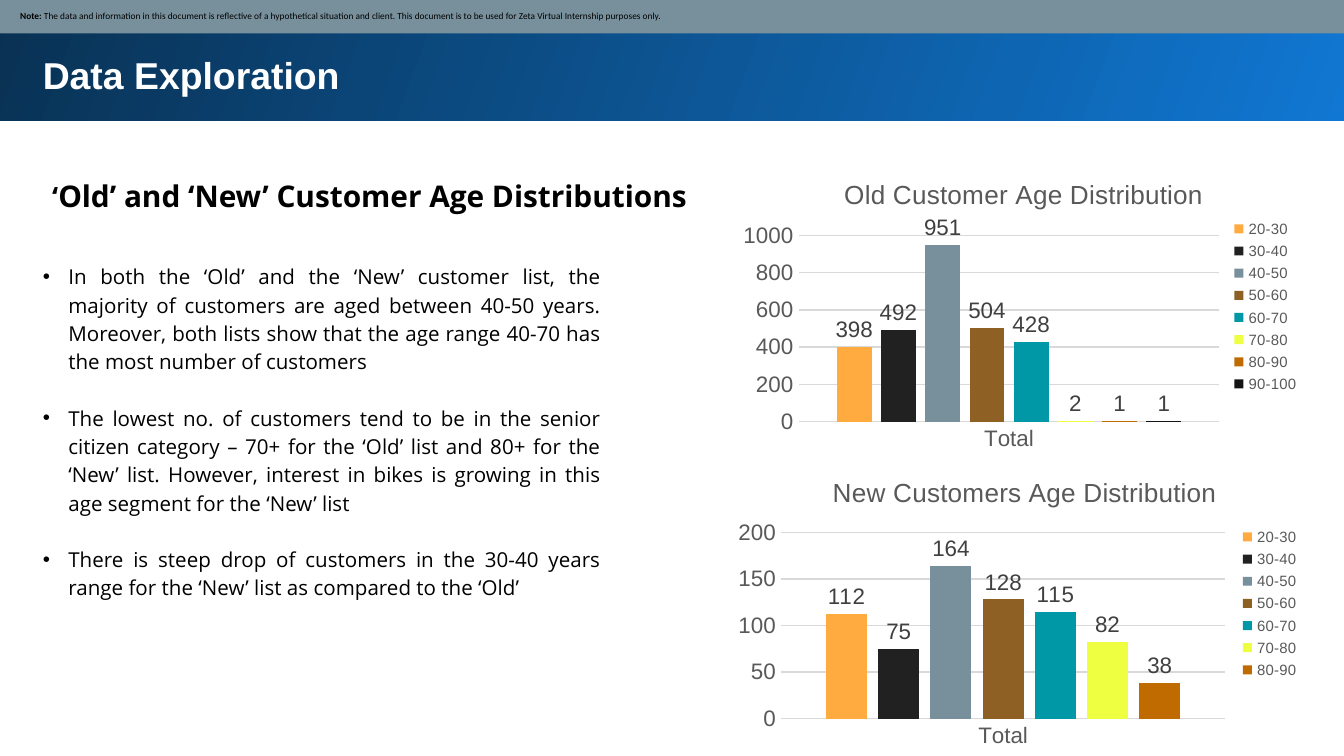
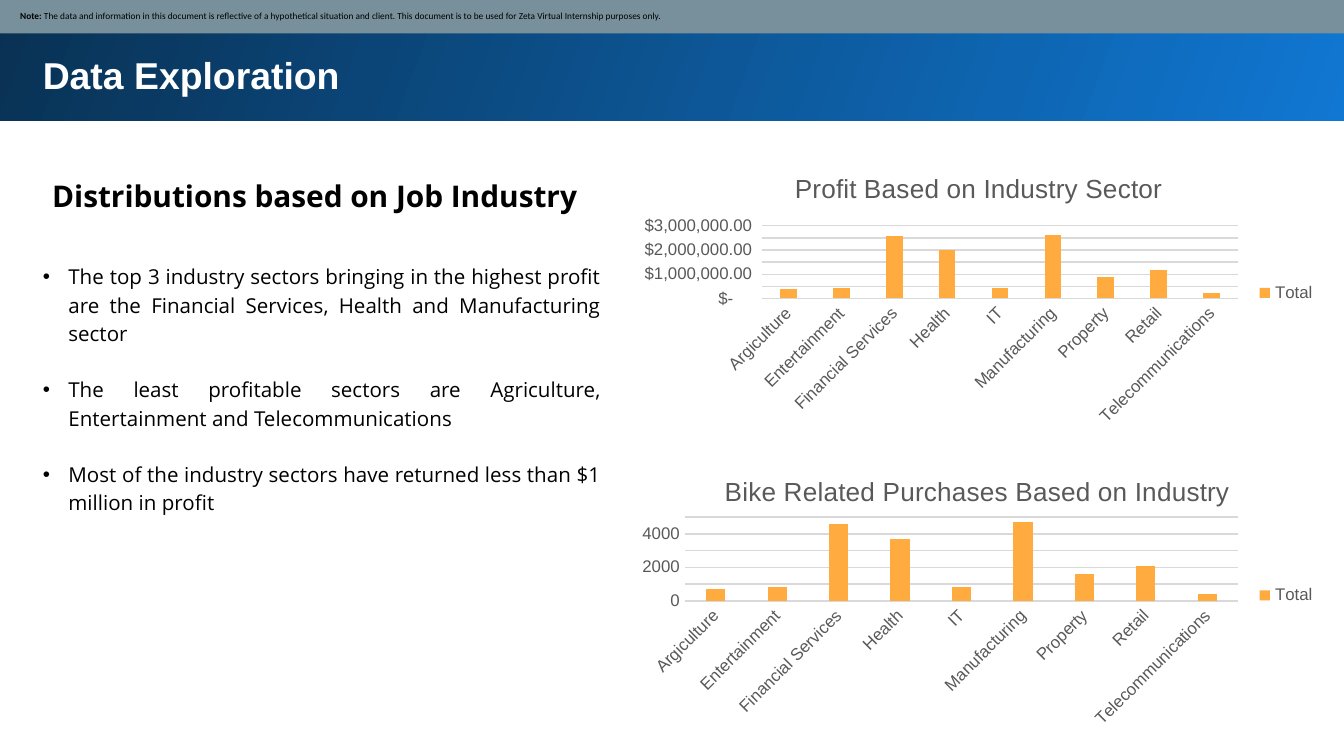
"""Build two data exploration slides with customer age and job industry charts."""
from lxml import etree
from pptx import Presentation
from pptx.chart.data import CategoryChartData
from pptx.dml.color import RGBColor
from pptx.enum.chart import XL_CHART_TYPE, XL_LABEL_POSITION, XL_LEGEND_POSITION, XL_TICK_MARK
from pptx.enum.shapes import MSO_SHAPE
from pptx.enum.text import MSO_ANCHOR, MSO_AUTO_SIZE, PP_ALIGN
from pptx.oxml import parse_xml
from pptx.oxml.ns import nsdecls, qn
from pptx.util import Inches, Pt

BLACK = RGBColor(0x00, 0x00, 0x00)
WHITE = RGBColor(0xFF, 0xFF, 0xFF)
BAND_LIGHT = RGBColor(0x10, 0x77, 0xD2)
BAND_DARK = RGBColor(0x09, 0x31, 0x53)
SLATE = RGBColor(0x78, 0x90, 0x9C)
ORANGE = RGBColor(0xFF, 0xAB, 0x40)
CHART_TEXT = RGBColor(0x59, 0x59, 0x59)
LABEL_TEXT = RGBColor(0x40, 0x40, 0x40)
GRID = RGBColor(0xD9, 0xD9, 0xD9)
SERIES_COLORS = [
    ORANGE, RGBColor(0x21, 0x21, 0x21), SLATE, RGBColor(0x8F, 0x60, 0x24),
    RGBColor(0x00, 0x97, 0xA7), RGBColor(0xEE, 0xFF, 0x41),
    RGBColor(0xBF, 0x6B, 0x00), RGBColor(0x14, 0x14, 0x14),
]

NOTE = ("The data and information in this document is reflective of a hypothetical situation "
        "and client. This document is to be used for Zeta Virtual Internship purposes only.")
AGES = ["20-30", "30-40", "40-50", "50-60", "60-70", "70-80", "80-90", "90-100"]
INDUSTRIES = ["Argiculture", "Entertainment", "Financial Services", "Health", "IT",
              "Manufacturing", "Property", "Retail", "Telecommunications"]
DOLLARS = '_("$"* #,##0.00_);_("$"* \\(#,##0.00\\);_("$"* "-"??_);_(@_)'

AGE_STYLE = dict(categories=["Total"], axis_size=12, legend_size=8, labels=True, number_format="General")
INDUSTRY_STYLE = dict(categories=INDUSTRIES, axis_size=9, legend_size=9, labels=False, number_format="General")

SLIDES = [
    dict(
        heading=[("‘", 15), ("Old’ and ‘New’ Customer Age Distributions", 16)],
        bullets_height=3.59,
        bullets=[
            "In both the ‘Old’ and the ‘New’ customer list, the majority of customers are aged between "
            "40-50 years. Moreover, both lists show that the age range 40-70 has the most number of customers",
            "The lowest no. of customers tend to be in the senior citizen category – 70+ for the ‘Old’ list "
            "and 80+ for the ‘New’ list. However, interest in bikes is growing in this age segment for the ‘New’ list",
            "There is steep drop of customers in the 30-40 years range for the ‘New’ list as compared to the ‘Old’",
        ],
        charts=[
            dict(AGE_STYLE, title="Old Customer Age Distribution", box=(5.42, 1.18, 4.35, 2.2),
                 series=[(age, [count]) for age, count in zip(AGES, [398, 492, 951, 504, 428, 2, 1, 1])],
                 top=1000, step=200, title_at=(0.19, 0.05), plot_at=(0.12, 0.26, 0.72, 0.63)),
            dict(AGE_STYLE, title="New Customers Age Distribution", box=(5.42, 3.39, 4.35, 2.2),
                 series=[(age, [count]) for age, count in zip(AGES, [112, 75, 164, 128, 115, 82, 38])],
                 top=200, step=50, title_at=(0.17, 0.05), plot_at=(0.09, 0.26, 0.76, 0.63)),
        ],
    ),
    dict(
        heading=[("Distributions based on Job Industry", 16)],
        bullets_height=2.53,
        bullets=[
            "The top 3 industry sectors bringing in the highest profit are the Financial Services, "
            "Health and Manufacturing sector",
            "The least profitable sectors are Agriculture, Entertainment and Telecommunications",
            "Most of the industry sectors have returned less than $1 million in profit",
        ],
        charts=[
            dict(INDUSTRY_STYLE, title="Profit Based on Industry Sector", box=(4.68, 1.14, 5.21, 2.08),
                 series=[("Total", [370000, 450000, 2570000, 1980000, 430000,
                                    2630000, 890000, 1180000, 230000])],
                 number_format=DOLLARS, top=3000000, step=500000,
                 title_at=(0.23, 0.05), plot_at=(0.19, 0.26, 0.68, 0.26)),
            dict(INDUSTRY_STYLE, title="Bike Related Purchases Based on Industry", box=(4.68, 3.39, 5.21, 2.08),
                 series=[("Total", [700, 800, 4600, 3700, 800, 4700, 1600, 2100, 400])],
                 top=5000, step=1000, title_at=(0.13, 0.05), plot_at=(0.08, 0.22, 0.79, 0.3)),
        ],
    ),
]


def add_text_box(slide, left, top, width, height):
    frame = slide.shapes.add_textbox(Inches(left), Inches(top), Inches(width), Inches(height)).text_frame
    frame.word_wrap = True
    frame.auto_size = MSO_AUTO_SIZE.SHAPE_TO_FIT_TEXT
    frame.margin_left = frame.margin_right = frame.margin_top = frame.margin_bottom = Inches(0.1)
    return frame


def set_layout(parent, index, values, inner=False):
    for old in parent.findall(qn("c:layout")):
        parent.remove(old)
    target = '<c:layoutTarget val="inner"/>' if inner else ""
    modes = '<c:xMode val="edge"/><c:yMode val="edge"/>'
    sizes = "".join(f'<c:{name} val="{value}"/>' for name, value in zip("xywh", values))
    parent.insert(index, parse_xml(
        f'<c:layout {nsdecls("c")}><c:manualLayout>{target}{modes}{sizes}</c:manualLayout></c:layout>'))


presentation = Presentation()
presentation.slide_width = Inches(10)
presentation.slide_height = Inches(10) * 9 // 16

for content in SLIDES:
    slide = presentation.slides.add_slide(presentation.slide_layouts[6])
    slide.background.fill.solid()
    slide.background.fill.fore_color.rgb = WHITE

    band = slide.shapes.add_shape(MSO_SHAPE.RECTANGLE, Inches(-0.02), Inches(-0.02), Inches(10.05), Inches(0.92))
    band.fill.gradient()
    band.fill.gradient_angle = 160
    for stop, color in zip(band.fill.gradient_stops, [BAND_LIGHT, BAND_DARK]):
        stop.color.rgb = color

    title = add_text_box(slide, 0.22, 0.29, 9.37, 0.51).paragraphs[0]
    title.text = "Data Exploration"
    title.font.name = "Arial"
    title.font.size = Pt(20)
    title.font.bold = True
    title.font.color.rgb = WHITE

    heading = add_text_box(slide, 0.29, 1.18, 4.97, 0.49).paragraphs[0]
    heading.line_spacing = 1.15
    for text, size in content["heading"]:
        run = heading.add_run()
        run.text = text
        run.font.name = "Open Sans"
        run.font.size = Pt(size)
        run.font.bold = True
        run.font.color.rgb = BLACK

    bullets = add_text_box(slide, 0.22, 1.84, 4.35, content["bullets_height"])
    for index, text in enumerate(content["bullets"]):
        paragraph = bullets.add_paragraph() if index else bullets.paragraphs[0]
        paragraph.text = text
        paragraph.alignment = PP_ALIGN.JUSTIFY
        paragraph.line_spacing = 1.15
        if index:
            paragraph.space_before = Pt(15)
        properties = paragraph._p.get_or_add_pPr()
        properties.set("marL", str(Inches(0.19)))
        properties.set("indent", str(Inches(-0.19)))
        etree.SubElement(properties, qn("a:buFont")).set("typeface", "Arial")
        etree.SubElement(properties, qn("a:buChar")).set("char", "•")
        paragraph.font.name = "Open Sans"
        paragraph.font.size = Pt(11)
        paragraph.font.color.rgb = BLACK

    note_bar = slide.shapes.add_shape(MSO_SHAPE.RECTANGLE, Inches(-0.01), Inches(-0.01), Inches(10.03), Inches(0.26))
    note_bar.fill.solid()
    note_bar.fill.fore_color.rgb = SLATE
    for shape in (band, note_bar):
        shape.line.fill.background()
        shape.shadow.inherit = False
    frame = note_bar.text_frame
    frame.word_wrap = True
    frame.vertical_anchor = MSO_ANCHOR.MIDDLE
    frame.margin_left = Inches(0.16)
    frame.margin_right = frame.margin_top = frame.margin_bottom = Inches(0.05)
    note = frame.paragraphs[0]
    note.alignment = PP_ALIGN.LEFT
    for text, bold in [("Note: ", True), (NOTE, False)]:
        run = note.add_run()
        run.text = text
        run.font.name = "Calibri"
        run.font.size = Pt(5)
        run.font.bold = bold
        run.font.color.rgb = BLACK

    for item in content["charts"]:
        data = CategoryChartData()
        data.categories = item["categories"]
        for name, values in item["series"]:
            data.add_series(name, values)
        box = [Inches(length) for length in item["box"]]
        chart = slide.shapes.add_chart(XL_CHART_TYPE.COLUMN_CLUSTERED, *box, data).chart
        chart.font.name = "Arial"
        chart.font.size = Pt(10)
        chart.font.color.rgb = BLACK

        chart.has_title = True
        chart_title = chart.chart_title.text_frame.paragraphs[0]
        chart_title.text = item["title"]
        chart_title.font.size = Pt(14)
        chart_title.font.bold = False
        set_layout(chart.chart_title._element, 1, item["title_at"])
        set_layout(chart._chartSpace.chart.plotArea, 0, item["plot_at"], inner=True)

        chart.has_legend = True
        chart.legend.position = XL_LEGEND_POSITION.RIGHT
        chart.legend.include_in_layout = False
        chart.legend.font.size = Pt(item["legend_size"])

        category_axis, value_axis = chart.category_axis, chart.value_axis
        for axis in (category_axis, value_axis):
            axis.major_tick_mark = XL_TICK_MARK.NONE
            axis.minor_tick_mark = XL_TICK_MARK.NONE
            axis.tick_labels.font.size = Pt(item["axis_size"])
        for font in (chart_title.font, chart.legend.font, category_axis.tick_labels.font, value_axis.tick_labels.font):
            font.name = "Arial"
            font.color.rgb = CHART_TEXT
        if len(item["categories"]) > 1:
            category_axis._element.find(qn("c:txPr")).find(qn("a:bodyPr")).set("rot", "-2700000")
        value_axis.minimum_scale = 0
        value_axis.maximum_scale = item["top"]
        value_axis.major_unit = item["step"]
        value_axis.tick_labels.number_format = item["number_format"]
        value_axis.tick_labels.number_format_is_linked = False
        value_axis.format.line.fill.background()
        for line in (category_axis.format.line, value_axis.major_gridlines.format.line):
            line.color.rgb = GRID
            line.width = Pt(0.75)

        plot = chart.plots[0]
        plot.vary_by_categories = False
        plot.gap_width = 219
        plot.overlap = -27
        for series, color in zip(plot.series, SERIES_COLORS):
            series.format.fill.solid()
            series.format.fill.fore_color.rgb = color
            if item["labels"]:
                labels = series.data_labels
                labels.show_value = True
                labels.position = XL_LABEL_POSITION.OUTSIDE_END
                labels.font.name = "Arial"
                labels.font.size = Pt(12)
                labels.font.color.rgb = LABEL_TEXT

presentation.save("out.pptx")
